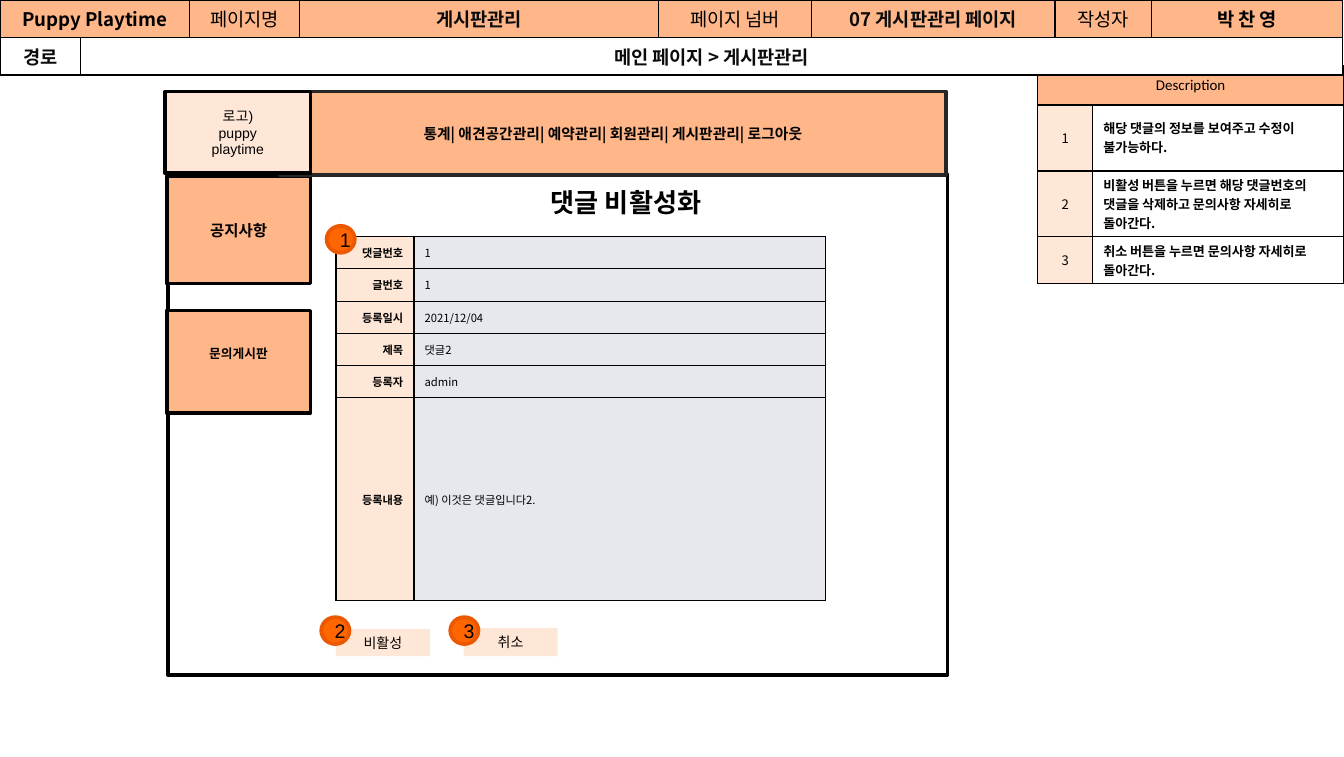
"""Build the comment deactivation page of a storyboard deck."""
from dataclasses import dataclass

from lxml import etree
from pptx import Presentation
from pptx.dml.color import RGBColor
from pptx.enum.shapes import MSO_SHAPE as Shape
from pptx.enum.text import MSO_ANCHOR as Anchor, MSO_AUTO_SIZE as AutoSize, PP_ALIGN as Align
from pptx.oxml.ns import qn
from pptx.util import Inches, Pt


@dataclass(frozen=True)
class Theme:
    orange: str = "FFB689"
    peach: str = "FFE7D8"
    gray: str = "E6E8EE"
    white: str = "FFFFFF"
    black: str = "000000"
    ink: str = "0C0C0C"
    charcoal: str = "262626"
    badge: str = "FF6600"
    badge_edge: str = "EB5800"
    korean: str = "Noto Sans CJK KR"
    sans: str = "Arial"
    body: str = "Calibri"
    serif: str = "Times New Roman"
    title: float = 14
    marker: float = 10.5
    header: float = 10
    notice: float = 8.3
    caption: float = 8
    menu: float = 7.9
    label: float = 7.5
    note: float = 7
    board: float = 6.8
    field: float = 6


@dataclass(frozen=True)
class Cell:
    text: str
    fill: str
    size: float
    bold: bool = False
    align: Align = Align.CENTER
    font: str = Theme.korean
    color: str = Theme.black
    anchor: Anchor = Anchor.MIDDLE
    span: int = 1


class Storyboard:
    """Hold the theme and the current slide, and draw elements on it."""

    def __init__(self, slide, theme):
        self.slide = slide
        self.theme = theme

    def set_text(self, frame, text, size, font, bold=False, align=Align.CENTER,
                 color=Theme.black):
        frame.text = text
        for para in frame.paragraphs:
            para.alignment = align
            for span in para.runs:
                span.font.size = Pt(size)
                span.font.name = font
                span.font.bold = bold
                span.font.color.rgb = RGBColor.from_string(color)
                east_asian = etree.SubElement(span.font._element, qn("a:ea"))
                east_asian.set("typeface", self.theme.korean)

    def box(self, area, fill, line=None, text="", size=8, font=Theme.korean,
            bold=False, kind=Shape.RECTANGLE, bottom=0.04):
        box = self.slide.shapes.add_shape(kind, *map(Inches, area))
        box.shadow.inherit = False
        box.fill.solid()
        box.fill.fore_color.rgb = RGBColor.from_string(fill)
        if line:
            box.line.color.rgb = RGBColor.from_string(line)
            box.line.width = Pt(2)
        else:
            box.line.fill.background()
        frame = box.text_frame
        frame.word_wrap = True
        frame.vertical_anchor = Anchor.MIDDLE
        frame.margin_left = frame.margin_right = Inches(0.08)
        frame.margin_top, frame.margin_bottom = Inches(0.04), Inches(bottom)
        if text:
            self.set_text(frame, text, size, font, bold)

    def badge(self, number, left, top):
        theme = self.theme
        self.box((left, top, 0.21, 0.2), theme.badge, theme.badge_edge, number,
                 theme.marker, theme.sans, kind=Shape.OVAL)

    def heading(self, text, area):
        box = self.slide.shapes.add_textbox(*map(Inches, area))
        frame = box.text_frame
        frame.word_wrap = False
        frame.auto_size = AutoSize.SHAPE_TO_FIT_TEXT
        self.set_text(frame, text, self.theme.title, self.theme.body, True, Align.LEFT)

    def border(self, cell, width):
        properties = cell._tc.get_or_add_tcPr()
        for position, side in enumerate(("a:lnL", "a:lnR", "a:lnT", "a:lnB")):
            edge = etree.Element(qn(side), w=str(Pt(width)))
            fill = etree.SubElement(edge, qn("a:solidFill"))
            etree.SubElement(fill, qn("a:srgbClr"), val=self.theme.black)
            properties.insert(position, edge)

    def table(self, left, top, widths, heights, rows, line, inset_x=0.08, inset_y=0.04):
        area = (left, top, sum(widths), sum(heights))
        table = self.slide.shapes.add_table(
            len(heights), len(widths), *map(Inches, area)).table
        table.first_row = table.horz_banding = False
        for column, width in zip(table.columns, widths):
            column.width = Inches(width)
        for row, height in zip(table.rows, heights):
            row.height = Inches(height)
        for row_index, row in enumerate(rows):
            column_index = 0
            for item in row:
                cell = table.cell(row_index, column_index)
                last = column_index + item.span - 1
                if item.span > 1:
                    cell.merge(table.cell(row_index, last))
                cell.margin_left = cell.margin_right = Inches(inset_x)
                cell.margin_top = cell.margin_bottom = Inches(inset_y)
                cell.vertical_anchor = item.anchor
                self.set_text(cell.text_frame, item.text, item.size, item.font,
                              item.bold, item.align, item.color)
                for covered in range(column_index, last + 1):
                    part = table.cell(row_index, covered)
                    part.fill.solid()
                    part.fill.fore_color.rgb = RGBColor.from_string(item.fill)
                    self.border(part, line)
                column_index = last + 1


def main():
    theme = Theme()
    deck = Presentation()
    deck.slide_width, deck.slide_height = Inches(10), Inches(5.63)
    page = Storyboard(deck.slides.add_slide(deck.slide_layouts[6]), theme)

    descriptions = [
        "해당 댓글의 정보를 보여주고 수정이 불가능하다.",
        "비활성 버튼을 누르면 해당 댓글번호의 댓글을 삭제하고 문의사항 자세히로 돌아간다.",
        "취소 버튼을 누르면 문의사항 자세히로 돌아간다.",
    ]
    rows = [[Cell("Description", theme.orange, theme.caption, font=theme.body, span=2)]]
    rows += [[Cell(str(number), theme.peach, theme.note),
              Cell(text, theme.white, theme.note, True, Align.LEFT)]
             for number, text in enumerate(descriptions, 1)]
    page.table(7.72, 0.49, [0.41, 1.87], [0.29, 0.49, 0.49, 0.35], rows, 1, inset_y=0.03)

    page.box((1.25, 1.29, 5.8, 3.73), theme.white, theme.black)
    page.box((1.24, 2.31, 1.07, 0.76), theme.orange, theme.black, "문의게시판",
             theme.board, theme.sans, True, bottom=0.16)
    page.box((1.24, 1.31, 1.07, 0.8), theme.orange, theme.black, "공지사항",
             theme.notice, bold=True)
    page.box((2.08, 0.68, 4.96, 0.62), theme.orange, theme.charcoal,
             "통계| 애견공간관리| 예약관리| 회원관리| 게시판관리| 로그아웃", theme.menu, bold=True)
    page.box((1.23, 0.68, 1.08, 0.61), theme.peach, theme.black,
             "로고)\npuppy\nplaytime", theme.label, theme.sans)

    fields = {"댓글번호": "1", "글번호": "1", "등록일시": "2021/12/04", "제목": "댓글2",
              "등록자": "admin", "등록내용": "예) 이것은 댓글입니다2."}
    rows = [[Cell(name, theme.peach, theme.field, True, Align.RIGHT),
             Cell(value, theme.gray, theme.field, align=Align.LEFT)]
            for name, value in fields.items()]
    page.table(2.5, 1.76, [0.58, 3.06], [0.24] * 5 + [1.51], rows, 0.75)

    for text, left, top, height in (("비활성", 2.5, 4.68, 0.2), ("취소", 3.45, 4.67, 0.21)):
        page.box((left, top, 0.7, height), theme.peach, text=text,
                 size=theme.label, font=theme.serif)
    page.badge("3", 3.35, 4.59)
    page.badge("2", 2.39, 4.59)

    header = [("Puppy Playtime", True, theme.black, 2), ("페이지명", False, theme.black, 1),
              ("게시판관리", True, theme.ink, 1), ("페이지 넘버", False, theme.black, 1),
              ("07 게시판관리 페이지", True, theme.ink, 1), ("작성자", False, theme.black, 1),
              ("박 찬 영", True, theme.black, 1)]
    route = [("경로", 1), ("메인 페이지 > 게시판관리", 7)]
    rows = [[Cell(text, theme.orange, theme.header, bold, color=color,
                  anchor=Anchor.TOP, span=span) for text, bold, color, span in header],
            [Cell(text, theme.white, theme.header, True, color=theme.ink, span=span)
             for text, span in route]]
    page.table(0, 0, [0.6, 0.81, 0.82, 2.67, 1.14, 1.81, 0.72, 1.42], [0.24] * 2,
               rows, 1, inset_x=0.09)

    page.heading("댓글 비활성화", (4, 1.34, 1.42, 0.34))
    page.badge("1", 2.43, 1.68)
    deck.save("out.pptx")


if __name__ == "__main__":
    main()
